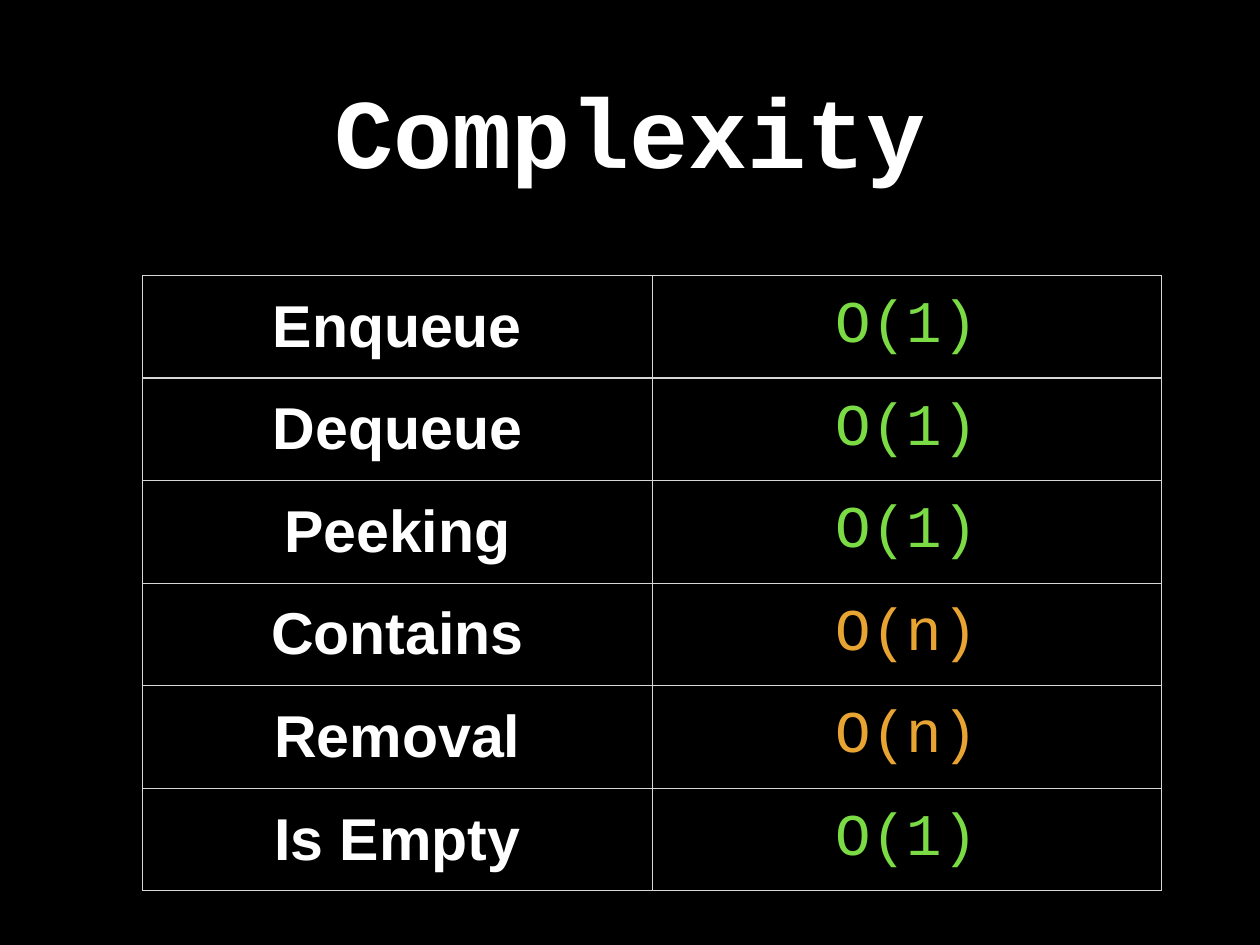
from lxml.etree import SubElement
from pptx import Presentation
from pptx.dml.color import RGBColor
from pptx.enum.text import MSO_ANCHOR as Anchor, PP_ALIGN as Align
from pptx.oxml.ns import qn
from pptx.util import Inches, Pt

COLORS = {
    "background": "000000",
    "text": "FFFFFF",
    "constant": "7BDB45",
    "linear": "E8A432",
    "border": "D6D7D6",
}
COSTS = {"constant": "O(1)", "linear": "O(n)"}
OPERATIONS = [
    ("Enqueue", "constant"),
    ("Dequeue", "constant"),
    ("Peeking", "constant"),
    ("Contains", "linear"),
    ("Removal", "linear"),
    ("Is Empty", "constant"),
]
TITLE_BOX = (1.04, 0.28, 12.14, 2.36)
TABLE_BOX = (1.61, 3.11, 11.5, 6.95)
TITLE_FONT = {"name": "Courier New", "size": Pt(80), "bold": True}
OPERATION_FONT = {"name": "Arial", "size": Pt(48), "bold": True}
COST_FONT = {"name": "Courier New", "size": Pt(48), "bold": False}
MARGINS = {
    f"margin_{side}": Inches(0.06) for side in ("left", "top", "right", "bottom")
}
FRAME_FORMAT = {**MARGINS, "vertical_anchor": Anchor.MIDDLE}


def color(key):
    return RGBColor.from_string(COLORS[key])


def apply_format(target, values):
    for attribute, value in values.items():
        setattr(target, attribute, value)


def write_text(frame, text, font, color_key):
    paragraph = frame.paragraphs[0]
    paragraph.alignment = Align.CENTER
    run = paragraph.add_run()
    run.text = text
    apply_format(run.font, font)
    run.font.color.rgb = color(color_key)


def add_borders(cell):
    properties = cell._tc.get_or_add_tcPr()
    for side in ("L", "R", "T", "B"):
        border = SubElement(properties, qn(f"a:ln{side}"), w=str(Pt(1)))
        fill = SubElement(border, qn("a:solidFill"))
        SubElement(fill, qn("a:srgbClr"), val=COLORS["border"])


def fill_cell(cell, text, font, color_key):
    apply_format(cell, FRAME_FORMAT)
    write_text(cell.text_frame, text, font, color_key)
    add_borders(cell)
    cell.fill.solid()
    cell.fill.fore_color.rgb = color("background")


def add_title(slide, box):
    title = slide.shapes.title
    left, top, width, height = map(Inches, box)
    apply_format(title, {"left": left, "top": top, "width": width, "height": height})
    apply_format(title.text_frame, {**FRAME_FORMAT, "word_wrap": True})
    write_text(title.text_frame, "Complexity", TITLE_FONT, "text")


def add_complexity_table(slide, box):
    table = slide.shapes.add_table(len(OPERATIONS), 2, *map(Inches, box)).table
    apply_format(table, {"first_row": False, "horz_banding": False})
    for row, (operation, cost) in enumerate(OPERATIONS):
        fill_cell(table.cell(row, 0), operation, OPERATION_FONT, "text")
        fill_cell(table.cell(row, 1), COSTS[cost], COST_FONT, cost)


def main():
    deck = Presentation()
    apply_format(deck, {"slide_width": Inches(14.22), "slide_height": Inches(10.67)})
    slide = deck.slides.add_slide(deck.slide_layouts[5])
    slide.background.fill.solid()
    slide.background.fill.fore_color.rgb = color("background")
    add_title(slide, TITLE_BOX)
    add_complexity_table(slide, TABLE_BOX)
    deck.save("out.pptx")


if __name__ == "__main__":
    main()
